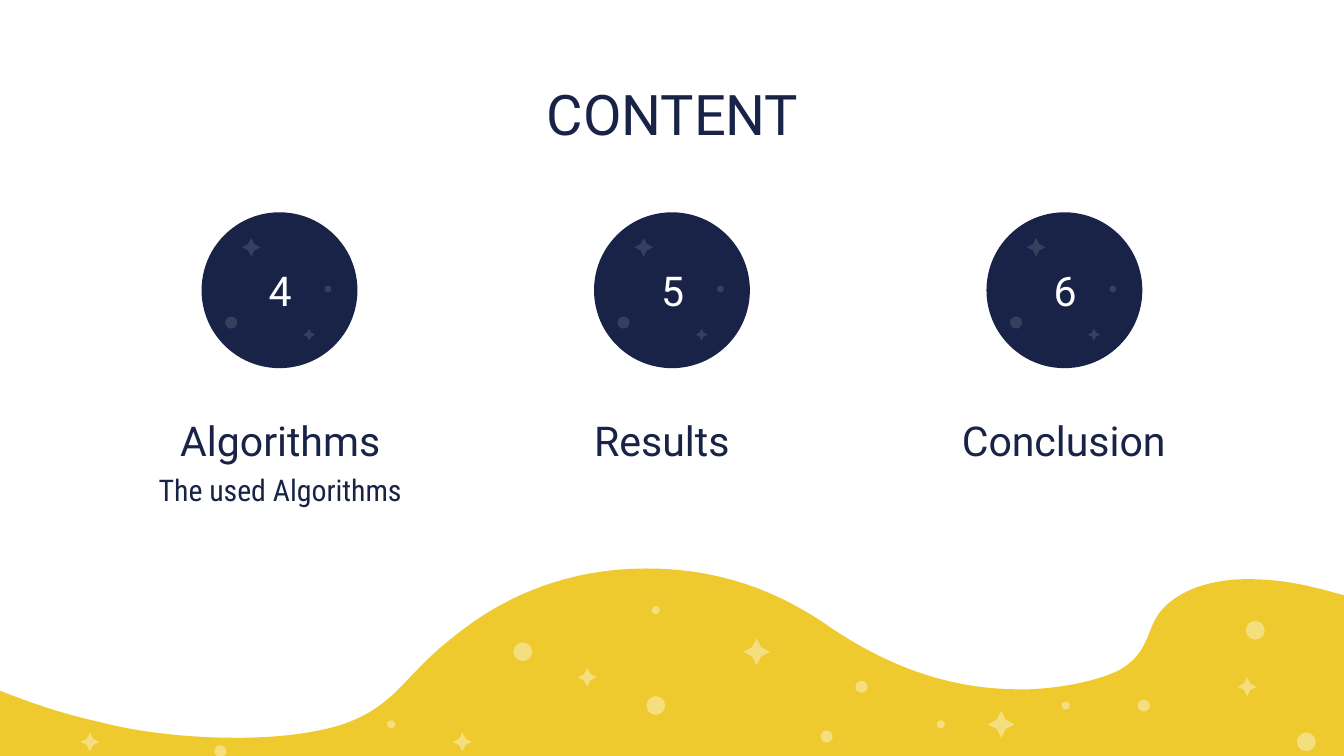
from dataclasses import dataclass

from lxml import etree
from pptx import Presentation
from pptx.dml.color import RGBColor
from pptx.enum.shapes import MSO_SHAPE
from pptx.enum.text import MSO_ANCHOR, PP_ALIGN
from pptx.oxml.ns import qn
from pptx.util import Inches, Pt

OVAL, STAR = MSO_SHAPE.OVAL, MSO_SHAPE.STAR_4_POINT
TOP, MIDDLE, BOTTOM = MSO_ANCHOR.TOP, MSO_ANCHOR.MIDDLE, MSO_ANCHOR.BOTTOM
CENTER = PP_ALIGN.CENTER


@dataclass(frozen=True)
class Theme:
    navy = RGBColor(0x18, 0x23, 0x47)
    gold = RGBColor(0xEF, 0xCA, 0x2E)
    white = RGBColor(0xFF, 0xFF, 0xFF)
    font = "Roboto"
    narrow = "Roboto Condensed"
    title = Pt(30)
    head = Pt(22)
    note = Pt(16)


theme = Theme()
WIDTH = 10
HEIGHT = WIDTH * 9 / 16

deck = Presentation()
deck.slide_width, deck.slide_height = Inches(WIDTH), Inches(HEIGHT)
slide = deck.slides.add_slide(deck.slide_layouts[5])
shapes = slide.shapes


def add_mark(kind, x, y, size, color, alpha=100):
    """Add a borderless oval or star centred on x, y; alpha is in percent."""
    mark = shapes.add_shape(kind, Inches(x - size / 2), Inches(y - size / 2),
                            Inches(size), Inches(size))
    mark.shadow.inherit = False
    mark.line.fill.background()
    mark.fill.solid()
    mark.fill.fore_color.rgb = color
    if kind == STAR:
        mark.adjustments[0] = 0.24
    if alpha < 100:
        tint = mark.element.spPr.find(qn("a:solidFill"))[0]
        etree.SubElement(tint, qn("a:alpha")).set("val", str(alpha * 1000))


def set_text(box, place, words, size, color, anchor, font=theme.font, pad=(0, 0)):
    """Place a box and give it one centred run; pad is side, then top and bottom."""
    box.left, box.top, box.width, box.height = [Inches(n) for n in place]
    frame = box.text_frame
    frame.word_wrap = True
    frame.vertical_anchor = anchor
    frame.margin_left = frame.margin_right = Inches(pad[0])
    frame.margin_top = frame.margin_bottom = Inches(pad[1])
    para = frame.paragraphs[0]
    para.alignment = CENTER
    run = para.add_run()
    run.text = words
    run.font.name, run.font.size = font, size
    run.font.color.rgb = color


# Gold wave: each row holds two control points and an end point
start = (4.81, 4.23)
left = [
    (4.22, 4.23, 3.79, 4.44, 3.52, 4.63),
    (3.35, 4.75, 3.21, 4.87, 3.09, 5),
    (2.95, 5.14, 2.84, 5.29, 2.55, 5.39),
    (2.33, 5.46, 2.05, 5.49, 1.76, 5.49),
    (1.41, 5.49, 1.03, 5.45, 0.73, 5.37),
    (0.46, 5.31, 0.23, 5.23, 0, 5.14),
]
right = [
    (9.79, 4.37, 9.56, 4.31, 9.31, 4.31),
    (9.25, 4.31, 9.18, 4.31, 9.12, 4.32),
    (8.81, 4.36, 8.65, 4.5, 8.59, 4.62),
    (8.53, 4.74, 8.52, 4.87, 8.34, 4.98),
    (8.19, 5.06, 7.92, 5.12, 7.64, 5.13),
    (7.62, 5.13, 7.61, 5.13, 7.59, 5.13),
    (6.97, 5.13, 6.52, 4.89, 6.21, 4.69),
    (5.9, 4.47, 5.46, 4.23, 4.81, 4.23),
]
STEPS = 16
points = [start]
for curves in (left, right):
    for ax, ay, bx, by, cx, cy in curves:
        px, py = points[-1]
        for step in range(1, STEPS + 1):
            t = step / STEPS
            u = 1 - t
            points.append((
                u**3 * px + 3 * u * u * t * ax + 3 * u * t * t * bx + t**3 * cx,
                u**3 * py + 3 * u * u * t * ay + 3 * u * t * t * by + t**3 * cy,
            ))
    if curves is left:
        points += [(0, HEIGHT), (WIDTH, HEIGHT), (WIDTH, 4.43)]

outline = [(Inches(x), Inches(y)) for x, y in points]
pen = shapes.build_freeform(*outline[0], scale=1.0)
pen.add_line_segments(outline[1:], close=True)
wave = pen.convert_to_shape()
wave.shadow.inherit = False
wave.line.fill.background()
wave.fill.solid()
wave.fill.fore_color.rgb = theme.gold

# Dots and stars on the wave: kind, size, centres
sparks = [
    (OVAL, 0.09, [(8.51, 5.25), (6.41, 5.11), (6.15, 5.48), (1.64, 5.59)]),
    (OVAL, 0.14, [(3.89, 4.85), (9.34, 4.69), (4.88, 5.25), (9.72, 5.52)]),
    (OVAL, 0.06, [(2.91, 5.39), (4.88, 4.54), (7, 5.39), (7.93, 5.25)]),
    (STAR, 0.14, [(4.37, 5.04), (3.44, 5.52), (9.28, 5.11), (0.67, 5.52)]),
    (STAR, 0.2, [(5.63, 4.85), (7.45, 5.39)]),
]
for kind, size, spots in sparks:
    for x, y in spots:
        add_mark(kind, x, y, size, theme.white, 38)

set_text(shapes.title, (0.79, 0.49, 8.43, 0.63), "CONTENT",
         theme.title, theme.navy, TOP, pad=(0.1, 0.1))

# Numbered discs with headings: number, heading, heading left and width
items = [
    ("4", "Algorithms", 0.79, 2.59),
    ("5", "Results", 3.36, 3.13),
    ("6", "Conclusion", 6.62, 2.59),
]
# Marks on a disc: kind, offset from its centre, size
flecks = [
    (OVAL, -0.36, 0.24, 0.09),
    (STAR, -0.21, -0.32, 0.14),
    (OVAL, 0.36, -0.01, 0.05),
    (STAR, 0.22, 0.33, 0.09),
]
MID, GAP = 2.16, 2.92
for col, (number, head, x, width) in enumerate(items):
    hub = WIDTH / 2 + (col - 1) * GAP
    add_mark(OVAL, hub, MID, 1.16, theme.navy)
    for kind, dx, dy, size in flecks:
        add_mark(kind, hub + dx, MID + dy, size, theme.white, 13)
    set_text(shapes.add_textbox(0, 0, 0, 0), (hub - 0.4, 1.97, 0.81, 0.38),
             number, theme.head, theme.white, MIDDLE, pad=(0.1, 0))
    set_text(shapes.add_textbox(0, 0, 0, 0), (x, 3.08, width, 0.38),
             head, theme.head, theme.navy, BOTTOM)

set_text(shapes.add_textbox(0, 0, 0, 0), (0.79, 3.51, 2.59, 0.63),
         "The used Algorithms", theme.note, theme.navy, TOP, font=theme.narrow)

deck.save("out.pptx")
